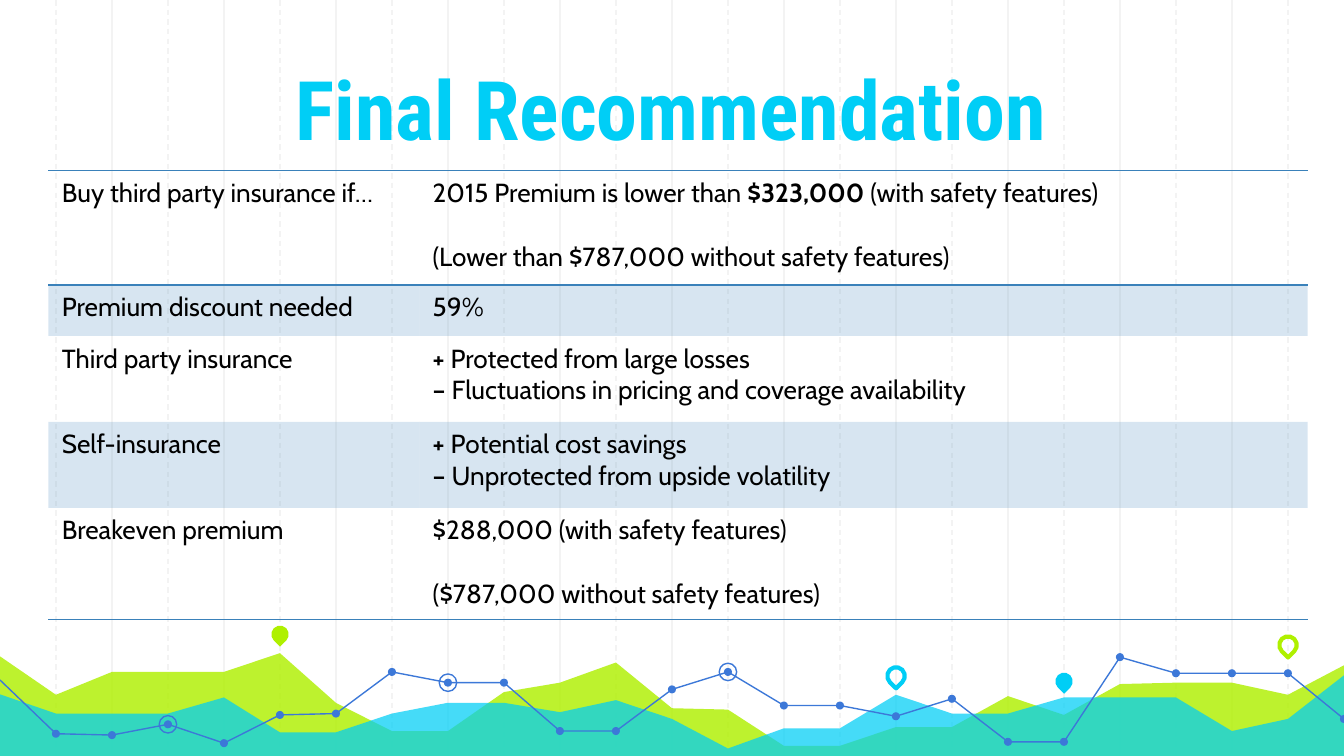
from dataclasses import dataclass

from pptx import Presentation, util as u
from pptx.dml.color import RGBColor
from pptx.enum import dml, shapes, text
from pptx.oxml import ns, xmlchemy

WIDE, HIGH = 10, 5.625
COLS = 24
FLOOR = 5.65
LIME, CYAN, BLUE, STEEL, PALE = "AFF000", "00CEF6", "3C78D8", "3A81BA", "F3F3F3"
NO_GRID = "{2D5ABB26-0587-4C30-8999-92F81FD0307C}"

HILLS = [4.87, 5.17, 5, 5, 5, 4.86, 5.23, 5.44, 5.44, 5.15, 5.08, 4.93, 5.27,
         5.28, 5.55, 5.55, 5.41, 5.41, 5.18, 5.32, 5.09, 5.08, 5.08, 5.17, 4.94]
WAVES = [5.16, 5.31, 5.31, 5.31, 5.19, 5.45, 5.45, 5.31, 5.23, 5.23, 5.3, 5.21, 5.35,
         5.57, 5.42, 5.42, 5.17, 5.31, 5.31, 5.19, 5.19, 5.19, 5.44, 5.35, 5.01]
TREND = [5.06, 5.46, 5.47, 5.39, 5.53, 5.32, 5.31, 5, 5.08, 5.08, 5.44, 5.44, 5.13,
         5, 5.25, 5.25, 5.33, 5.2, 5.52, 5.52, 4.89, 5.01, 5.01, 5.01, 5.35]
SPANS = [(0, 11), (11, 20), (20, 24)]
RINGS = [8, 3, 13]


@dataclass
class Pin:
    col: int
    y: float
    tint: str
    full: bool


@dataclass
class Row:
    label: str
    lines: list[str]
    high: float
    gap: int = 0
    tint: bool = False
    top: bool = False
    base: bool = False


PINS = [
    Pin(5, 4.72, LIME, True),
    Pin(16, 5.03, CYAN, False),
    Pin(19, 5.07, CYAN, True),
    Pin(23, 4.8, LIME, False),
]
ROWS = [
    Row("Buy third party insurance if…",
        ["2015 Premium is lower than *$323,000 *(with safety features)",
         "(Lower than $787,000 without safety features)"],
        0.85, gap=17, top=True, base=True),
    Row("Premium discount needed", ["59%"], 0.38, tint=True),
    Row("Third party insurance",
        ["*+* Protected from large losses",
         "*– *Fluctuations in pricing and coverage availability"], 0.64),
    Row("Self-insurance",
        ["*+* Potential cost savings",
         "*–* Unprotected from upside volatility"], 0.64, tint=True),
    Row("Breakeven premium",
        ["$288,000 (with safety features)",
         "($787,000 without safety features)"], 0.83, gap=17, base=True),
]


def hue(code: str) -> RGBColor:
    return RGBColor.from_string(code)


def grid(col: float) -> float:
    return WIDE * col / COLS


def fade(node, share: int) -> None:
    for tone in node.iter(ns.qn("a:srgbClr")):
        alpha = xmlchemy.OxmlElement("a:alpha")
        alpha.set("val", str(share * 1000))
        tone.append(alpha)


def paint(shape, fill: str = "", line: str = "", width: float = 0.75) -> None:
    shape.shadow.inherit = False
    if fill:
        shape.fill.solid()
        shape.fill.fore_color.rgb = hue(fill)
    else:
        shape.fill.background()
    if line:
        shape.line.color.rgb = hue(line)
        shape.line.width = u.Pt(width)
    else:
        shape.line.fill.background()


def rule(slide, col: int) -> None:
    x = u.Inches(grid(col))
    line = slide.shapes.add_connector(
        shapes.MSO_CONNECTOR.STRAIGHT, x, 0, x, u.Inches(FLOOR))
    line.line.color.rgb = hue(PALE)
    line.line.width = u.Pt(0.75)
    if col % 2:
        line.line.dash_style = dml.MSO_LINE.DASH
    line._element.spPr.append(xmlchemy.OxmlElement("a:effectLst"))


def trace(slide, spots: list[tuple[float, float]], close: bool):
    marks = [(u.Inches(x), u.Inches(y)) for x, y in spots]
    pen = slide.shapes.build_freeform(*marks[0])
    pen.add_line_segments(marks[1:], close=close)
    return pen.convert_to_shape()


def area(slide, tops: list[float], tint: str, share: int) -> None:
    edge = 0.02
    spots = [(grid(k), y) for k, y in enumerate(tops)]
    spots[0] = (-edge, tops[0])
    spots[-1] = (WIDE + edge, tops[-1])
    shape = trace(slide, spots + [(WIDE + edge, FLOOR), (-edge, FLOOR)], True)
    paint(shape, tint)
    fade(shape._element.spPr, share)


def mark(slide, kind, col: int, y: float, size: float):
    return slide.shapes.add_shape(
        kind, u.Inches(grid(col) - size / 2), u.Inches(y - size / 2),
        u.Inches(size), u.Inches(size))


def pin(slide, item: Pin) -> None:
    drop = mark(slide, shapes.MSO_SHAPE.TEAR, item.col, item.y, 0.13)
    drop.rotation = 135
    if item.full:
        paint(drop, item.tint)
    else:
        paint(drop, line=item.tint, width=2.25)


def trend(slide) -> None:
    for first, last in SPANS:
        spots = [(grid(k), TREND[k]) for k in range(first, last + 1)]
        paint(trace(slide, spots, False), line=BLUE)
    for col, y in enumerate(TREND[1:], 1):
        paint(mark(slide, shapes.MSO_SHAPE.OVAL, col, y, 0.06), BLUE)
    for col in RINGS:
        paint(mark(slide, shapes.MSO_SHAPE.OVAL, col, TREND[col], 0.13), line=BLUE)


def head(slide) -> None:
    title = slide.shapes.title
    title.left, title.top = u.Inches(1.39), 0
    title.width, title.height = u.Inches(7.21), u.Inches(1.27)
    frame = title.text_frame
    frame.text = "Final Recommendation"
    frame.word_wrap = True
    frame.auto_size = text.MSO_AUTO_SIZE.NONE
    frame.vertical_anchor = text.MSO_ANCHOR.BOTTOM
    frame.margin_left = frame.margin_right = u.Inches(0.1)
    frame.margin_top = frame.margin_bottom = u.Inches(0.1)
    para = frame.paragraphs[0]
    para.alignment = text.PP_ALIGN.CENTER
    font = para.runs[0].font
    font.name, font.size, font.bold = "Roboto Condensed", u.Pt(44), True
    font.color.rgb = hue(CYAN)
    slide.shapes._spTree.append(title._element)


def border(cell, side: str) -> None:
    line = xmlchemy.OxmlElement(f"a:{side}")
    line.set("w", str(u.Pt(1)))
    fill = xmlchemy.OxmlElement("a:solidFill")
    tone = xmlchemy.OxmlElement("a:srgbClr")
    tone.set("val", STEEL)
    fill.append(tone)
    line.append(fill)
    cell._tc.get_or_add_tcPr().insert(0, line)


def write(cell, lines: list[str], gap: int) -> None:
    frame = cell.text_frame
    for k, line in enumerate(lines):
        para = frame.add_paragraph() if k else frame.paragraphs[0]
        if k < len(lines) - 1:
            para.space_after = u.Pt(gap)
        for n, part in enumerate(line.split("*")):
            if part:
                run = para.add_run()
                run.text = part
                run.font.name, run.font.size = "Cabin", u.Pt(14)
                run.font.bold = n % 2 == 1
                run.font.color.rgb = hue("000000")


def fit(cell, row: Row) -> None:
    if row.tint:
        cell.fill.solid()
        cell.fill.fore_color.rgb = hue(STEEL)
        fade(cell._tc.tcPr, 20)
    else:
        cell.fill.background()
    if row.base:
        border(cell, "lnB")
    if row.top:
        border(cell, "lnT")


def advice(slide) -> None:
    wide = [2.76, 6.61]
    table = slide.shapes.add_table(
        len(ROWS), 2, u.Inches(0.36), u.Inches(1.27),
        u.Inches(sum(wide)), u.Inches(sum(r.high for r in ROWS))).table
    table.first_row = table.horz_banding = False
    table._tbl.tblPr.find(ns.qn("a:tableStyleId")).text = NO_GRID
    for col, size in zip(table.columns, wide):
        col.width = u.Inches(size)
    for k, row in enumerate(ROWS):
        table.rows[k].height = u.Inches(row.high)
        for n, lines in enumerate([[row.label], row.lines]):
            cell = table.cell(k, n)
            write(cell, lines, row.gap)
            fit(cell, row)


def main() -> None:
    deck = Presentation()
    deck.slide_width, deck.slide_height = u.Inches(WIDE), u.Inches(HIGH)
    slide = deck.slides.add_slide(deck.slide_layouts[5])
    for col in [*range(2, COLS, 2), *range(1, COLS, 2)]:
        rule(slide, col)
    area(slide, HILLS, LIME, 82)
    area(slide, WAVES, CYAN, 73)
    for item in PINS:
        pin(slide, item)
    trend(slide)
    head(slide)
    advice(slide)
    deck.save("out.pptx")


if __name__ == "__main__":
    main()
